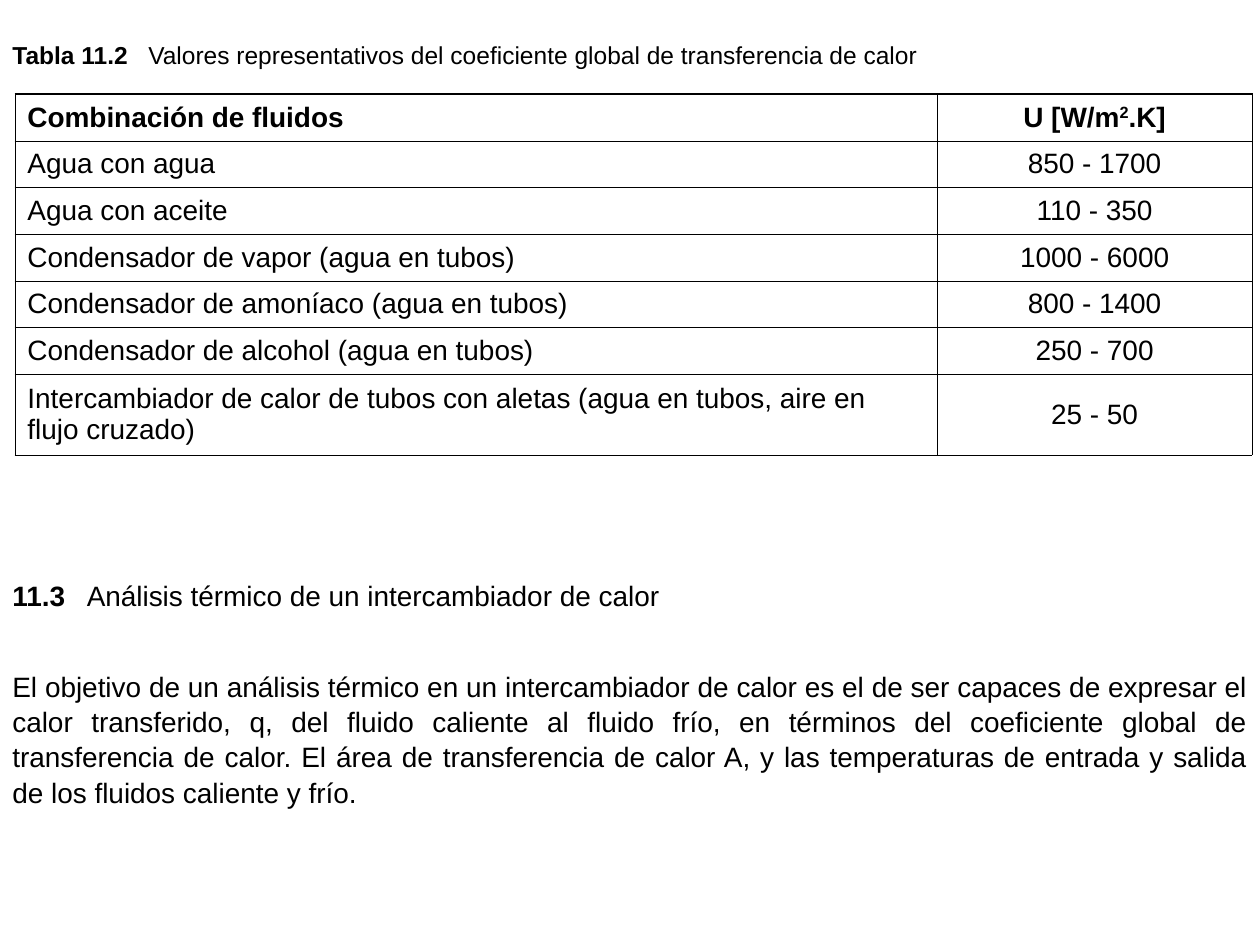
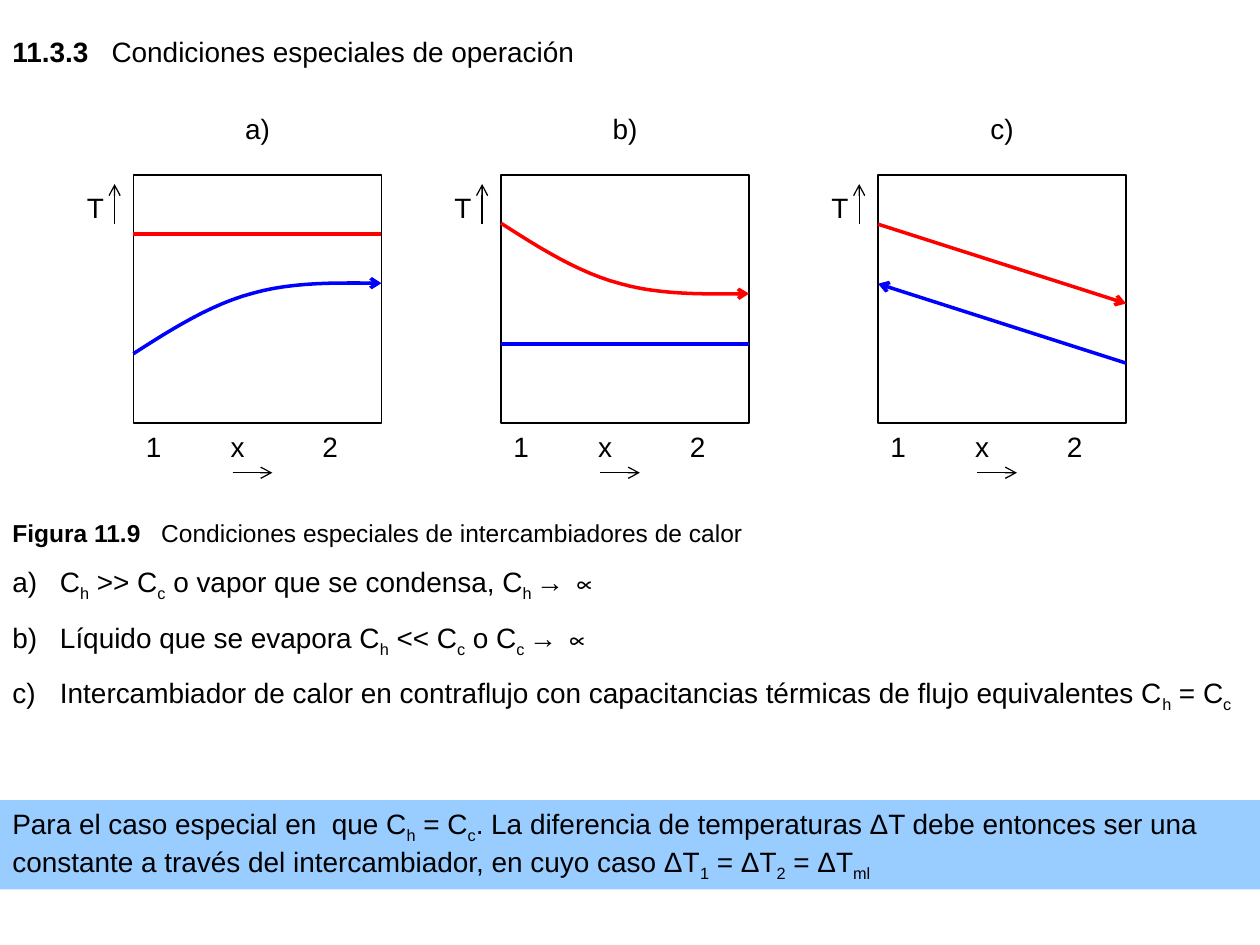
from lxml import etree
from pptx import Presentation
from pptx.dml.color import RGBColor
from pptx.enum.shapes import MSO_CONNECTOR, MSO_SHAPE
from pptx.enum.text import MSO_ANCHOR, PP_ALIGN
from pptx.oxml.ns import qn
from pptx.util import Cm, Pt

BLACK, RED, BLUE, SKY = "000000", "FF0000", "0000FF", "99CCFF"
FONT = "Arial"
PAGE_WIDTH, PAGE_HEIGHT = 25.4, 19.05
HANGING = 0.96
PLOT_TOP, PLOT_SIDE = 3.53, 5.0


def color(hex_code):
    return RGBColor.from_string(hex_code)


def write(paragraph, text, size=16, bold=False, label="", tabs=(), shift=-25,
          align=PP_ALIGN.LEFT, before=0, spacing=None, lettered=False):
    """Write text; the parts between bars are raised or lowered by shift percent."""
    paragraph.alignment = align
    paragraph.space_before = Pt(before)
    if spacing:
        paragraph.line_spacing = spacing
    props = paragraph._p.get_or_add_pPr()
    if lettered:
        props.set("marL", str(Cm(HANGING)))
        props.set("indent", str(-Cm(HANGING)))
        etree.SubElement(props, qn("a:buAutoNum"), type="alphaLcParenR")
    if tabs:
        stops = etree.SubElement(props, qn("a:tabLst"))
        for stop in tabs:
            etree.SubElement(stops, qn("a:tab"), pos=str(Cm(stop)), algn="l")

    pieces = [(label + "\t", True, 0)] if label else []
    for i, piece in enumerate(text.split("|")):
        pieces.append((piece, bold, shift if i % 2 else 0))
    for piece, heavy, baseline in pieces:
        run = paragraph.add_run()
        run.text = piece
        run.font.name, run.font.size, run.font.bold = FONT, Pt(size), heavy
        run.font.color.rgb = color(BLACK)
        if baseline:
            run._r.get_or_add_rPr().set("baseline", str(baseline * 1000))


def bezier(start, first, second, end, steps=12):
    """Points of a cubic curve, without its start."""
    for t in (i / steps for i in range(1, steps + 1)):
        u = 1 - t
        yield tuple(u**3 * a + 3 * u * u * t * b + 3 * u * t * t * c + t**3 * d
                    for a, b, c, d in zip(start, first, second, end))


class Deck:
    """The presentation, its style and the slide being built."""

    def __init__(self):
        self.file = Presentation()
        self.file.slide_width, self.file.slide_height = Cm(PAGE_WIDTH), Cm(PAGE_HEIGHT)
        self.slide = None

    def new_slide(self):
        self.slide = self.file.slides.add_slide(self.file.slide_layouts[6])

    def text(self, left, top, width, height, *paragraphs):
        """Each paragraph is a pair: text and its format."""
        box = self.slide.shapes.add_textbox(Cm(left), Cm(top), Cm(width), Cm(height))
        self.fill_frame(box.text_frame, paragraphs)

    def fill_frame(self, frame, paragraphs):
        frame.word_wrap = True
        frame.vertical_anchor = MSO_ANCHOR.TOP
        for i, (content, style) in enumerate(paragraphs):
            target = frame.add_paragraph() if i else frame.paragraphs[0]
            write(target, content, **style)

    def band(self, top, height, content, fill):
        area = self.rect(0, top, PAGE_WIDTH, height)
        area.fill.solid()
        area.fill.fore_color.rgb = color(fill)
        area.line.fill.background()
        self.fill_frame(area.text_frame, [(content, {})])

    def rect(self, left, top, width, height):
        frame = self.slide.shapes.add_shape(
            MSO_SHAPE.RECTANGLE, Cm(left), Cm(top), Cm(width), Cm(height))
        frame.shadow.inherit = False
        frame.fill.background()
        self.stroke(frame, BLACK, 0.75)
        return frame

    def stroke(self, shape, hex_code, width, arrow=False):
        shape.line.color.rgb = color(hex_code)
        shape.line.width = Pt(width)
        if arrow:
            etree.SubElement(shape.line._get_or_add_ln(), qn("a:tailEnd"), type="arrow")

    def line(self, x1, y1, x2, y2, hex_code=BLACK, width=0.75, arrow=True):
        link = self.slide.shapes.add_connector(
            MSO_CONNECTOR.STRAIGHT, Cm(x1), Cm(y1), Cm(x2), Cm(y2))
        self.stroke(link, hex_code, width, arrow)
        etree.SubElement(link._element.spPr, qn("a:effectLst"))

    def curve(self, knots, hex_code):
        """A smooth arrow through a chain of cubic pieces."""
        points = []
        for i in range(0, len(knots) - 1, 3):
            points.extend(bezier(*knots[i:i + 4]))
        builder = self.slide.shapes.build_freeform(Cm(knots[0][0]), Cm(knots[0][1]))
        builder.add_line_segments([(Cm(x), Cm(y)) for x, y in points], close=False)
        outline = builder.convert_to_shape()
        outline.shadow.inherit = False
        outline.fill.background()
        self.stroke(outline, hex_code, 2, arrow=True)

    def table(self, left, top, widths, heights, rows):
        grid = self.slide.shapes.add_table(
            len(rows), len(widths), Cm(left), Cm(top),
            Cm(sum(widths)), Cm(sum(heights))).table
        grid.first_row = grid.horz_banding = False
        for column, width in zip(grid.columns, widths):
            column.width = Cm(width)
        for r, (row, height) in enumerate(zip(rows, heights)):
            grid.rows[r].height = Cm(height)
            for c, content in enumerate(row):
                cell = grid.cell(r, c)
                cell.fill.background()
                cell.vertical_anchor = MSO_ANCHOR.MIDDLE
                write(cell.text_frame.paragraphs[0], content, bold=r == 0, shift=30,
                      align=PP_ALIGN.CENTER if c else PP_ALIGN.LEFT)
                self.borders(cell, top=0.34 if r else 1.47)

    def borders(self, cell, top):
        props = cell._tc.get_or_add_tcPr()
        for i, (side, width) in enumerate(
                [("L", 0.34), ("R", 0.34), ("T", top), ("B", 0.34)]):
            edge = etree.Element(qn("a:ln" + side), w=str(Pt(width)))
            paint = etree.SubElement(edge, qn("a:solidFill"))
            etree.SubElement(paint, qn("a:srgbClr"), val=BLACK)
            props.insert(i, edge)


def draw_axes(deck, left, name):
    """Square plot with its letter, the T axis and the x axis."""
    deck.rect(left, PLOT_TOP, PLOT_SIDE, PLOT_SIDE)
    deck.text(left + 1.6, 2.13, 1.8, 0.94, (name, {"align": PP_ALIGN.CENTER}))
    deck.text(left - 1.19, 3.71, 1, 0.94, ("T", {}))
    deck.line(left - 0.38, 4.52, left - 0.38, 3.71)
    deck.text(left, PLOT_TOP + PLOT_SIDE, PLOT_SIDE, 1,
              ("1\tx\t2", {"tabs": (1.71, 3.56)}))
    deck.line(left + 2, 9.53, left + 2.8, 9.53)


def draw_profile(deck, left, start, end, hex_code, arrow=True):
    """Straight temperature profile; start and end are (x, depth) in the plot."""
    deck.line(left + start[0], PLOT_TOP + start[1], left + end[0], PLOT_TOP + end[1],
              hex_code, 2, arrow)


def draw_bend(deck, left, depth, direction, hex_code):
    """Curved profile that flattens to the right; direction 1 goes down, -1 up."""
    bend = [(0, 0), (0.78, 0.5), (1.57, 1), (2.41, 1.22),
            (3.23, 1.45), (4.11, 1.43), (5, 1.42)]
    deck.curve([(left + x, PLOT_TOP + depth + direction * y) for x, y in bend], hex_code)


def coefficients_slide(deck):
    deck.new_slide()
    deck.text(0, 0.69, PAGE_WIDTH, 0.86,
              ("Valores representativos del coeficiente global de transferencia de calor",
               {"label": "Tabla 11.2", "tabs": [2.74], "size": 14}))
    rows = [
        ("Combinación de fluidos", "U [W/m|2|.K]"),
        ("Agua con agua", "850 - 1700"),
        ("Agua con aceite", "110 - 350"),
        ("Condensador de vapor (agua en tubos)", "1000 - 6000"),
        ("Condensador de amoníaco (agua en tubos)", "800 - 1400"),
        ("Condensador de alcohol (agua en tubos)", "250 - 700"),
        ("Intercambiador de calor de tubos con aletas "
         "(agua en tubos, aire en flujo cruzado)", "25 - 50"),
    ]
    deck.table(0.3, 1.9, [18.59, 6.35], [0.94] * 6 + [1.63], rows)
    deck.text(0, 11.53, PAGE_WIDTH, 0.94,
              ("Análisis térmico de un intercambiador de calor",
               {"label": "11.3", "tabs": [1.5]}))
    deck.text(0, 13.34, PAGE_WIDTH, 2.97,
              ("El objetivo de un análisis térmico en un intercambiador de calor es el de "
               "ser capaces de expresar el calor transferido, q, del fluido caliente al "
               "fluido frío, en términos del coeficiente global de transferencia de calor. "
               "El área de transferencia de calor A, y las temperaturas de entrada y salida "
               "de los fluidos caliente y frío.",
               {"align": PP_ALIGN.JUSTIFY, "spacing": 1.05}))


def conditions_slide(deck):
    deck.new_slide()
    deck.text(0, 0.58, PAGE_WIDTH, 0.94,
              ("Condiciones especiales de operación", {"label": "11.3.3", "tabs": [2]}))

    # Temperature profiles
    lefts = [2.69, 10.1, 17.7]
    for left, name in zip(lefts, ["a)", "b)", "c)"]):
        draw_axes(deck, left, name)
    condensing, evaporating, counterflow = lefts
    draw_profile(deck, condensing, (0, 1.19), (PLOT_SIDE, 1.19), RED, arrow=False)
    draw_bend(deck, condensing, 3.6, -1, BLUE)
    draw_profile(deck, evaporating, (0, 3.4), (PLOT_SIDE, 3.4), BLUE, arrow=False)
    draw_bend(deck, evaporating, 0.97, 1, RED)
    draw_profile(deck, counterflow, (0, 0.99), (PLOT_SIDE, 2.59), RED)
    draw_profile(deck, counterflow, (PLOT_SIDE, 3.79), (0, 2.19), BLUE)

    # Caption and cases
    case = {"lettered": True, "before": 10, "align": PP_ALIGN.JUSTIFY}
    deck.text(0, 10.31, PAGE_WIDTH, 5.21,
              ("Condiciones especiales de intercambiadores de calor",
               {"label": "Figura 11.9", "tabs": [3], "size": 14}),
              ("C|h| >> C|c| o vapor que se condensa, C|h |→ ∝", case),
              ("Líquido que se evapora C|h| << C|c| o C|c |→ ∝", case),
              ("Intercambiador de calor en contraflujo con capacitancias térmicas "
               "de flujo equivalentes C|h| = C|c", case))

    # Conclusion
    deck.band(16.13, 1.8,
              "Para el caso especial en  que C|h| = C|c|. La diferencia de temperaturas ΔT "
              "debe entonces ser una constante a través del intercambiador, en cuyo caso "
              "ΔT|1| = ΔT|2| = ΔT|ml", SKY)


def main():
    deck = Deck()
    coefficients_slide(deck)
    conditions_slide(deck)
    deck.file.save("out.pptx")


if __name__ == "__main__":
    main()
